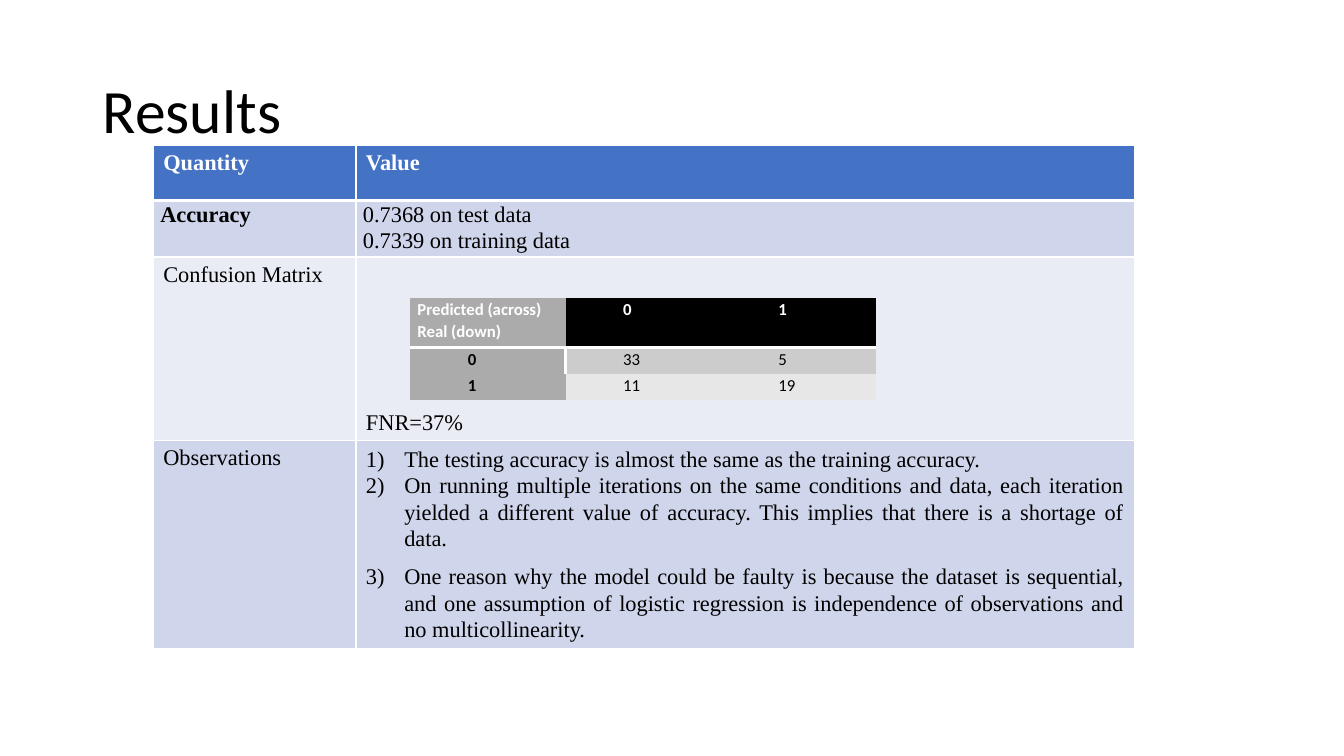
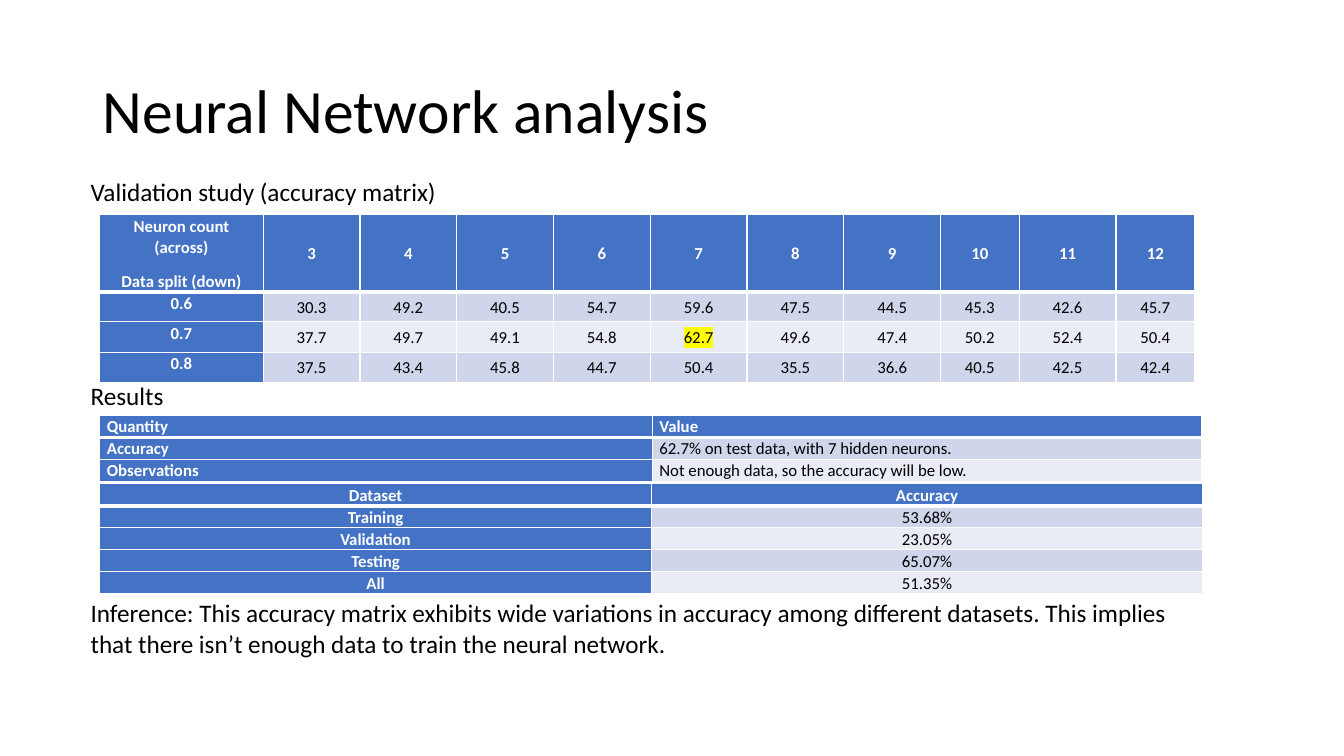
"""Build two slides of model results: logistic regression and neural network."""
from dataclasses import dataclass, replace

from lxml import etree
from pptx import Presentation
from pptx.dml.color import RGBColor
from pptx.enum.text import MSO_ANCHOR, PP_ALIGN
from pptx.oxml.ns import qn
from pptx.util import Pt

PX = 9144
SLIDE_SIZE = (1333, 750)
TITLE_ONLY = 5
TITLE_BOX = (92, 40, 1150, 145)
LIST_INDENT = 38
PARAGRAPH_GAP = 8

LEFT, CENTER, JUSTIFY = PP_ALIGN.LEFT, PP_ALIGN.CENTER, PP_ALIGN.JUSTIFY
TOP, MIDDLE, BOTTOM = MSO_ANCHOR.TOP, MSO_ANCHOR.MIDDLE, MSO_ANCHOR.BOTTOM

WHITE = RGBColor(0xFF, 0xFF, 0xFF)
BLACK = RGBColor(0x00, 0x00, 0x00)
BLUE = RGBColor(0x44, 0x72, 0xC4)
BANDS = (RGBColor(0xCF, 0xD5, 0xEA), RGBColor(0xE9, 0xEB, 0xF5))
GRAY = RGBColor(0xAB, 0xAB, 0xAB)
GRAY_BANDS = (RGBColor(0xCC, 0xCC, 0xCC), RGBColor(0xE7, 0xE7, 0xE7))
YELLOW = RGBColor(0xFF, 0xFF, 0x00)


@dataclass(frozen=True)
class TextStyle:
    """Look of the text in one frame or cell."""

    font: str = "Calibri"
    size: int = 12
    color: RGBColor = BLACK
    bold: bool = False
    align: PP_ALIGN = LEFT
    anchor: MSO_ANCHOR = TOP
    spacing: float = 1.07
    margins: tuple = (7, 0)
    indent: int = 0
    gaps: tuple = ()
    numbered: bool = False


TITLE = TextStyle(size=44, anchor=MIDDLE, spacing=0.9, margins=(10, 5))
CAPTION = TextStyle(size=18, spacing=1.0, margins=(10, 5))
SERIF = TextStyle(font="Times New Roman", size=16, spacing=1.0, margins=(10, 5))
SERIF_TIGHT = replace(SERIF, align=JUSTIFY, spacing=1.07, margins=(7, 0))
SERIF_LIST = replace(SERIF, align=JUSTIFY, spacing=1.07, gaps=(0, PARAGRAPH_GAP),
                     numbered=True)
BODY = TextStyle()
HEADING = replace(BODY, color=WHITE, bold=True)

CONFUSION = (
    ("Predicted (across)\nReal (down)", "0", "1"),
    ("0", "33", "5"),
    ("1", "11", "19"),
)
NEURON_HEADING = "Neuron count (across)\nData split (down)"
ACCURACY_MATRIX = (
    (NEURON_HEADING, *(str(count) for count in range(3, 13))),
    ("0.6", "30.3", "49.2", "40.5", "54.7", "59.6", "47.5", "44.5", "45.3", "42.6", "45.7"),
    ("0.7", "37.7", "49.7", "49.1", "54.8", "62.7", "49.6", "47.4", "50.2", "52.4", "50.4"),
    ("0.8", "37.5", "43.4", "45.8", "44.7", "50.4", "35.5", "36.6", "40.5", "42.5", "42.4"),
)
BEST_CELL = (2, 5)
FINDINGS = (
    ("Quantity", "Value"),
    ("Accuracy", "62.7% on test data, with 7 hidden neurons."),
    ("Observations", "Not enough data, so the accuracy will be low."),
)
DATASETS = (
    ("Dataset", "Accuracy"),
    ("Training", "53.68%"),
    ("Validation", "23.05%"),
    ("Testing", "65.07%"),
    ("All", "51.35%"),
)
OBSERVATIONS = "\n".join((
    "The testing accuracy is almost the same as the training accuracy.",
    "On running multiple iterations on the same conditions and data, each iteration "
    "yielded a different value of accuracy. This implies that there is a shortage of data.",
    "One reason why the model could be faulty is because the dataset is sequential, and one "
    "assumption of logistic regression is independence of observations and no "
    "multicollinearity.",
))
RESULTS = (
    ("Quantity", "Value"),
    ("Accuracy", "0.7368 on test data\n0.7339 on training data"),
    ("Confusion Matrix", "FNR=37%"),
    ("Observations", OBSERVATIONS),
)
INFERENCE = (
    "Inference: This accuracy matrix exhibits wide variations in accuracy among different "
    "datasets. This implies that there isn’t enough data to train the neural network."
)


def scale(*lengths):
    """Turn px lengths into EMU."""
    return [length * PX for length in lengths]


def indent_paragraph(paragraph, style):
    """Set the left indent and, for a list, the automatic number."""
    properties = paragraph._p.get_or_add_pPr()
    if style.numbered:
        properties.set("marL", str(LIST_INDENT * PX))
        properties.set("indent", str(-LIST_INDENT * PX))
        numbering = etree.Element(qn("a:buAutoNum"), type="arabicParenR")
        properties.find(qn("a:defRPr")).addprevious(numbering)
    elif style.indent:
        properties.set("marL", str(style.indent * PX))


def write_text(holder, frame, text, style):
    """Write one paragraph a line; holder is what carries anchor and margins."""
    margin_x, margin_y = scale(*style.margins)
    holder.margin_left = holder.margin_right = margin_x
    holder.margin_top = holder.margin_bottom = margin_y
    holder.vertical_anchor = style.anchor
    frame.word_wrap = True
    for index, line in enumerate(text.split("\n")):
        paragraph = frame.add_paragraph() if index else frame.paragraphs[0]
        paragraph.add_run().text = line
        paragraph.alignment = style.align
        paragraph.line_spacing = style.spacing
        paragraph.space_before = Pt(0)
        paragraph.space_after = Pt(style.gaps[index] if index < len(style.gaps) else 0)
        font = paragraph.font
        font.name, font.size, font.bold = style.font, Pt(style.size), style.bold
        font.color.rgb = style.color
        indent_paragraph(paragraph, style)


def set_borders(cell, widths):
    """Draw white cell borders from point widths by side; zero means no line."""
    properties = cell._tc.get_or_add_tcPr()
    for index, side in enumerate("LRTB"):
        width = widths.get(side, 0)
        line = etree.Element(qn(f"a:ln{side}"), w=str(Pt(width)))
        if width:
            fill = etree.SubElement(line, qn("a:solidFill"))
            etree.SubElement(fill, qn("a:srgbClr"), val=str(WHITE))
        else:
            etree.SubElement(line, qn("a:noFill"))
        properties.insert(index, line)


def add_grid(slide, origin, widths, heights, rows, look, line=1, heading_line=3):
    """Add a table; look(row, column) gives each cell's fill and text style."""
    box = scale(*origin, sum(widths), sum(heights))
    table = slide.shapes.add_table(len(heights), len(widths), *box).table
    table.first_row = table.horz_banding = False
    for column, width in zip(table.columns, scale(*widths)):
        column.width = width
    for row, height in zip(table.rows, scale(*heights)):
        row.height = height
    for row, texts in enumerate(rows):
        for column, text in enumerate(texts):
            cell = table.cell(row, column)
            fill, style = look(row, column)
            write_text(cell, cell.text_frame, text, style)
            cell.fill.solid()
            cell.fill.fore_color.rgb = fill
            borders = dict.fromkeys("LRTB", line)
            if row < 2:
                borders["T" if row else "B"] = heading_line
            set_borders(cell, borders)
    return table


def results_look(row, column):
    """Style the serif results table."""
    if row == 0:
        return BLUE, replace(SERIF, color=WHITE, bold=True)
    styles = {
        (1, 0): replace(SERIF_TIGHT, bold=True),
        (1, 1): SERIF_TIGHT,
        (2, 1): replace(SERIF, anchor=BOTTOM),
        (3, 1): SERIF_LIST,
    }
    return BANDS[(row - 1) % 2], styles.get((row, column), SERIF)


def confusion_look(row, column):
    """Style the gray confusion matrix."""
    indent = 50 if row or column else 0
    style = replace(BODY, align=JUSTIFY, indent=indent, bold=row == 0 or column == 0,
                    color=BLACK if row else WHITE)
    if column == 0:
        return GRAY, style
    return GRAY_BANDS[row - 1] if row else BLACK, style


def blue_look(align, anchor=TOP):
    """Make a look with a blue heading row and column."""
    def look(row, column):
        """Style one cell by its place."""
        heading = row == 0 or column == 0
        style = replace(HEADING if heading else BODY, align=align, gaps=(PARAGRAPH_GAP,) if
                        row == column == 0 and anchor == MIDDLE else (),
                        anchor=anchor if column else TOP)
        return BLUE if heading else BANDS[(row - 1) % 2], style
    return look


def highlight(cell):
    """Mark a cell's text in yellow."""
    run = cell.text_frame.paragraphs[0].runs[0]
    mark = etree.SubElement(run._r.get_or_add_rPr(), qn("a:highlight"))
    etree.SubElement(mark, qn("a:srgbClr"), val=str(YELLOW))


def add_titled_slide(presentation, title):
    """Add a slide with the shared title style."""
    slide = presentation.slides.add_slide(presentation.slide_layouts[TITLE_ONLY])
    shape = slide.shapes.title
    shape.left, shape.top, shape.width, shape.height = scale(*TITLE_BOX)
    write_text(shape.text_frame, shape.text_frame, title, TITLE)
    return slide


def add_caption(slide, top, width, height, text):
    """Add a line of running text at the shared left edge."""
    frame = slide.shapes.add_textbox(*scale(80, top, width, height)).text_frame
    write_text(frame, frame, text, CAPTION)


def add_results_slide(presentation):
    """Build the logistic regression results."""
    slide = add_titled_slide(presentation, "Results")
    add_grid(slide, (152, 144), (201, 772), (55, 56, 182, 206), RESULTS, results_look)
    matrix = add_grid(slide, (407, 296), (154,) * 3, (49, 26, 26), CONFUSION,
                      confusion_look, line=0, heading_line=2)
    set_divider(matrix)


def set_divider(matrix):
    """Draw the short white line between the first label and its values."""
    for column, side in enumerate("RL"):
        cell = matrix.cell(1, column)
        properties = cell._tc.get_or_add_tcPr()
        for line in properties.xpath("a:lnL|a:lnR|a:lnT|a:lnB"):
            properties.remove(line)
        set_borders(cell, {"T": 2, side: 2})


def add_network_slide(presentation):
    """Build the neural network analysis."""
    slide = add_titled_slide(presentation, "Neural Network analysis")
    widths = (162, *(96,) * 7, 78, 96, 78)
    matrix = add_grid(slide, (99, 213), widths, (76, 30, 30, 30), ACCURACY_MATRIX,
                      blue_look(CENTER, MIDDLE))
    highlight(matrix.cell(*BEST_CELL))
    add_grid(slide, (99, 412), (548, 545), (22,) * 3, FINDINGS, blue_look(LEFT))
    add_grid(slide, (99, 480), (547, 547), (21,) * 5, DATASETS, blue_look(CENTER))
    add_caption(slide, 170, 662, 40, "Validation study (accuracy matrix)")
    add_caption(slide, 372, 662, 40, "Results")
    add_caption(slide, 588, 1101, 71, INFERENCE)


def main():
    """Build and save the presentation."""
    presentation = Presentation()
    presentation.slide_width, presentation.slide_height = scale(*SLIDE_SIZE)
    add_results_slide(presentation)
    add_network_slide(presentation)
    presentation.save("out.pptx")


if __name__ == "__main__":
    main()
